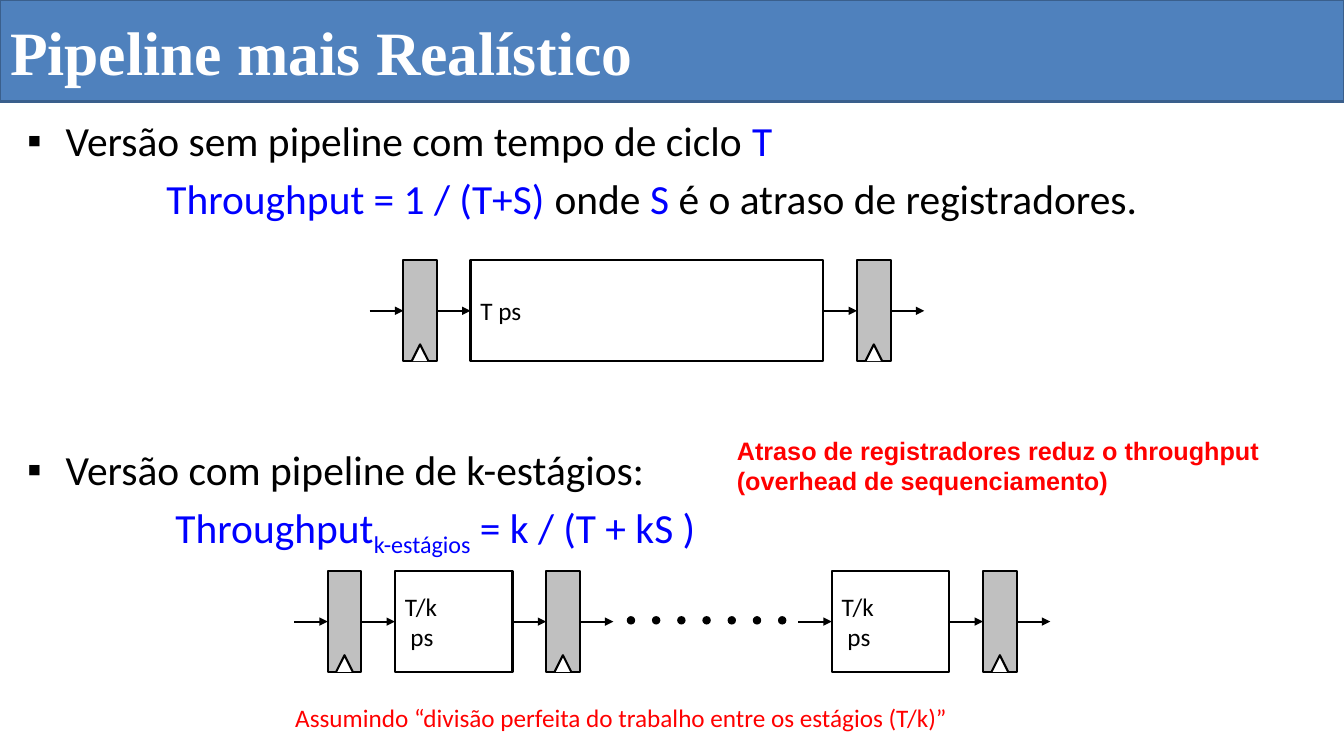
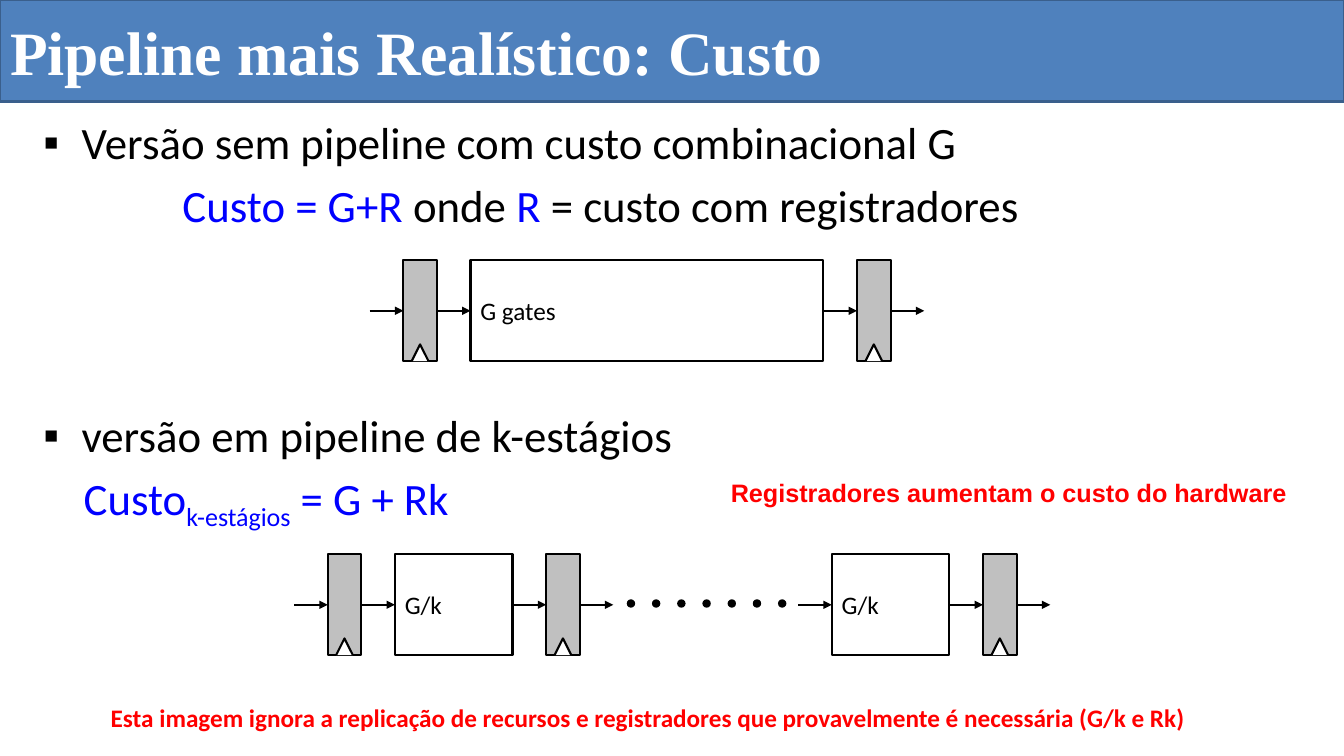
from dataclasses import dataclass
from typing import NamedTuple

from lxml import etree
from pptx import Presentation
from pptx.dml.color import RGBColor
from pptx.enum.shapes import MSO_CONNECTOR, MSO_SHAPE
from pptx.enum.text import MSO_ANCHOR, MSO_AUTO_SIZE, PP_ALIGN
from pptx.oxml.ns import qn
from pptx.util import Emu, Inches, Pt

RECT = MSO_SHAPE.RECTANGLE
OVAL = MSO_SHAPE.OVAL
LINE = MSO_CONNECTOR.STRAIGHT
LEFT = PP_ALIGN.LEFT
TOP = MSO_ANCHOR.TOP
MIDDLE = MSO_ANCHOR.MIDDLE
FIXED = MSO_AUTO_SIZE.NONE


@dataclass(frozen=True)
class Theme:
    band: RGBColor = RGBColor(0x4F, 0x81, 0xBD)
    edge: RGBColor = RGBColor(0x3A, 0x5F, 0x8C)
    white: RGBColor = RGBColor(0xFF, 0xFF, 0xFF)
    black: RGBColor = RGBColor(0x00, 0x00, 0x00)
    blue: RGBColor = RGBColor(0x00, 0x00, 0xFF)
    red: RGBColor = RGBColor(0xFF, 0x00, 0x00)
    gray: RGBColor = RGBColor(0xC0, 0xC0, 0xC0)
    serif: str = "Times New Roman"
    sans: str = "Calibri"
    strong: str = "Arial"
    head: float = 44
    small: float = 18
    stroke: float = 1.5


THEME = Theme()
WIDE, HIGH = Inches(13.33), Inches(7.5)
BAND = Inches(1.01)
CELL = 1 / 12
REG, TALL, CLOCK = 4, 12, 2
HANG = 0.38


class Piece(NamedTuple):
    text: str
    color: RGBColor = THEME.black
    sub: bool = False


class Item(NamedTuple):
    runs: list[Piece]
    before: float = 0
    left: float = HANG
    bullet: bool = False


class Block(NamedTuple):
    col: int
    wide: int


class Chain(NamedTuple):
    regs: list[int]
    blocks: list[Block]
    dots: bool = False


class Note(NamedTuple):
    left: float
    top: float
    wide: float
    high: float
    lines: list[str]
    font: str
    bold: bool


@dataclass(frozen=True)
class Page:
    title: str
    left: float
    wide: float
    size: float
    items: list[Item]
    whole: list[str]
    split: list[str]
    row: int
    notes: list[Note]


SINGLE = Chain([48, 102], [Block(56, 42)])
STAGED = Chain([39, 65, 117], [Block(47, 14), Block(99, 14)], True)


def grid(count: float) -> Emu:
    return Inches(count * CELL)


def write(para, text: str, font: str, size: float, color: RGBColor,
          bold: bool = False, sub: bool = False) -> None:
    run = para.add_run()
    run.text = text
    run.font.name = font
    run.font.size = Pt(size)
    run.font.bold = bold
    run.font.color.rgb = color
    if sub:
        run.font._element.set("baseline", "-25000")


def fill(frame, lines: list[str], font: str, color: RGBColor,
         bold: bool = False) -> None:
    for num, line in enumerate(lines):
        para = frame.add_paragraph() if num else frame.paragraphs[0]
        para.alignment = LEFT
        write(para, line, font, THEME.small, color, bold)


def paint(shape, color: RGBColor) -> None:
    shape.shadow.inherit = False
    shape.fill.solid()
    shape.fill.fore_color.rgb = color
    shape.line.color.rgb = THEME.black
    shape.line.width = Pt(THEME.stroke)


def rect(shapes, col: float, row: float, wide: float, color: RGBColor):
    shape = shapes.add_shape(RECT, grid(col), grid(row), grid(wide), grid(TALL))
    paint(shape, color)
    return shape


def arrow(shapes, col: float, mid: float) -> None:
    line = shapes.add_connector(LINE, grid(col), grid(mid), grid(col + REG), grid(mid))
    line.line.color.rgb = THEME.black
    line.line.width = Pt(THEME.stroke)
    etree.SubElement(line.line._get_or_add_ln(), qn("a:tailEnd"), type="triangle")
    etree.SubElement(line._element.spPr, qn("a:effectLst"))


def latch(shapes, col: int, row: int) -> None:
    group = shapes.add_group_shape().shapes
    rect(group, col, row, REG, THEME.gray)
    base, start = row + TALL, col + (REG - CLOCK) / 2
    wedge = group.build_freeform(grid(start), grid(base))
    wedge.add_line_segments([
        (grid(start + CLOCK / 2), grid(base - CLOCK)),
        (grid(start + CLOCK), grid(base)),
    ], close=False)
    paint(wedge.convert_to_shape(), THEME.white)
    for step in (-REG, REG):
        arrow(group, col + step, row + TALL / 2)


def draw(shapes, chain: Chain, row: int, label: list[str]) -> None:
    for block in chain.blocks:
        shape = rect(shapes, block.col, row, block.wide, THEME.white)
        frame = shape.text_frame
        frame.word_wrap = True
        frame.vertical_anchor = MIDDLE
        fill(frame, label, THEME.sans, THEME.black)
    for col in chain.regs:
        latch(shapes, col, row)
    if chain.dots:
        mid = row + TALL / 2
        arrow(shapes, chain.blocks[-1].col - REG, mid)
        for num in range(7):
            dot = shapes.add_shape(OVAL, grid(74.6 + 3 * num), grid(mid - 0.65),
                                   grid(1), grid(1))
            paint(dot, THEME.black)
            dot.line.fill.background()


def head(shape, text: str) -> None:
    shape.left, shape.top, shape.width, shape.height = 0, 0, WIDE, BAND
    shape.fill.solid()
    shape.fill.fore_color.rgb = THEME.band
    shape.line.color.rgb = THEME.edge
    shape.line.width = Pt(2)
    frame = shape.text_frame
    frame.auto_size = FIXED
    frame.vertical_anchor = MIDDLE
    para = frame.paragraphs[0]
    para.alignment = LEFT
    write(para, text, THEME.serif, THEME.head, THEME.white, True)


def body(shape, page: Page) -> None:
    shape.left, shape.top = Inches(page.left), Inches(1.09)
    shape.width, shape.height = Inches(page.wide), Inches(5.68)
    frame = shape.text_frame
    frame.auto_size = FIXED
    frame.vertical_anchor = TOP
    for num, item in enumerate(page.items):
        para = frame.add_paragraph() if num else frame.paragraphs[0]
        para.alignment = LEFT
        para.space_before = Pt(item.before)
        props = para._p.get_or_add_pPr()
        props.set("marL", str(Inches(item.left)))
        props.set("indent", str(-Inches(HANG) if item.bullet else 0))
        if item.bullet:
            etree.SubElement(props, qn("a:buFont"), typeface=THEME.strong)
            etree.SubElement(props, qn("a:buChar"), char="▪")
        else:
            etree.SubElement(props, qn("a:buNone"))
        for piece in item.runs:
            write(para, piece.text, THEME.sans, page.size, piece.color, sub=piece.sub)


def remark(shapes, note: Note) -> None:
    box = shapes.add_textbox(Inches(note.left), Inches(note.top),
                             Inches(note.wide), Inches(note.high))
    box.text_frame.word_wrap = False
    fill(box.text_frame, note.lines, note.font, THEME.red, note.bold)


def build(deck, page: Page) -> None:
    slide = deck.slides.add_slide(deck.slide_layouts[1])
    head(slide.shapes.title, page.title)
    body(slide.placeholders[1], page)
    draw(slide.shapes, SINGLE, 31, page.whole)
    draw(slide.shapes, STAGED, page.row, page.split)
    for note in page.notes:
        remark(slide.shapes, note)


PAGES = [
    Page(
        "Pipeline mais Realístico", 0.17, 12.92, 29.6,
        [
            Item([Piece("Versão sem pipeline com tempo de ciclo "),
                  Piece("T", THEME.blue)], bullet=True),
            Item([Piece("Throughput = 1 / (T+S) ", THEME.blue), Piece("onde "),
                  Piece("S ", THEME.blue), Piece("é o atraso de registradores.")],
                 5.9, 1.38),
            Item([Piece("Versão com pipeline de k-estágios:")], 158, bullet=True),
            Item([Piece("Throughput", THEME.blue),
                  Piece("k-estágios", THEME.blue, True),
                  Piece(" = k / (T + kS )", THEME.blue)], 5.9, 1.47),
        ],
        ["T ps"], ["T/k", " ps"], 68,
        [
            Note(7.21, 4.27, 5.42, 0.71,
                 ["Atraso de registradores reduz o throughput",
                  "(overhead de sequenciamento)"], THEME.strong, True),
            Note(2.83, 6.92, 6.74, 0.4,
                 ["Assumindo “divisão perfeita do trabalho entre os estágios (T/k)”"],
                 THEME.sans, False),
        ],
    ),
    Page(
        "Pipeline mais Realístico: Custo", 0.33, 12.58, 32,
        [
            Item([Piece("Versão sem pipeline com custo combinacional G")], bullet=True),
            Item([Piece("Custo = G+R ", THEME.blue), Piece("onde "),
                  Piece("R ", THEME.blue), Piece("= custo com registradores")],
                 6.4, 1.38),
            Item([Piece("versão em pipeline de k-estágios")], 126, bullet=True),
            Item([Piece("Custo", THEME.blue), Piece("k-estágios", THEME.blue, True),
                  Piece(" = G + Rk", THEME.blue)], 6.4, 0.4),
        ],
        ["G gates"], ["G/k"], 66,
        [
            Note(7.15, 4.69, 5.77, 0.4,
                 ["Registradores aumentam o custo do hardware"], THEME.strong, True),
            Note(1, 6.92, 10.94, 0.4,
                 ["Esta imagem ignora a replicação de recursos e registradores "
                  "que provavelmente é necessária (G/k e Rk)"], THEME.sans, True),
        ],
    ),
]


def main() -> None:
    deck = Presentation()
    deck.slide_width, deck.slide_height = WIDE, HIGH
    for page in PAGES:
        build(deck, page)
    deck.save("out.pptx")


if __name__ == "__main__":
    main()
